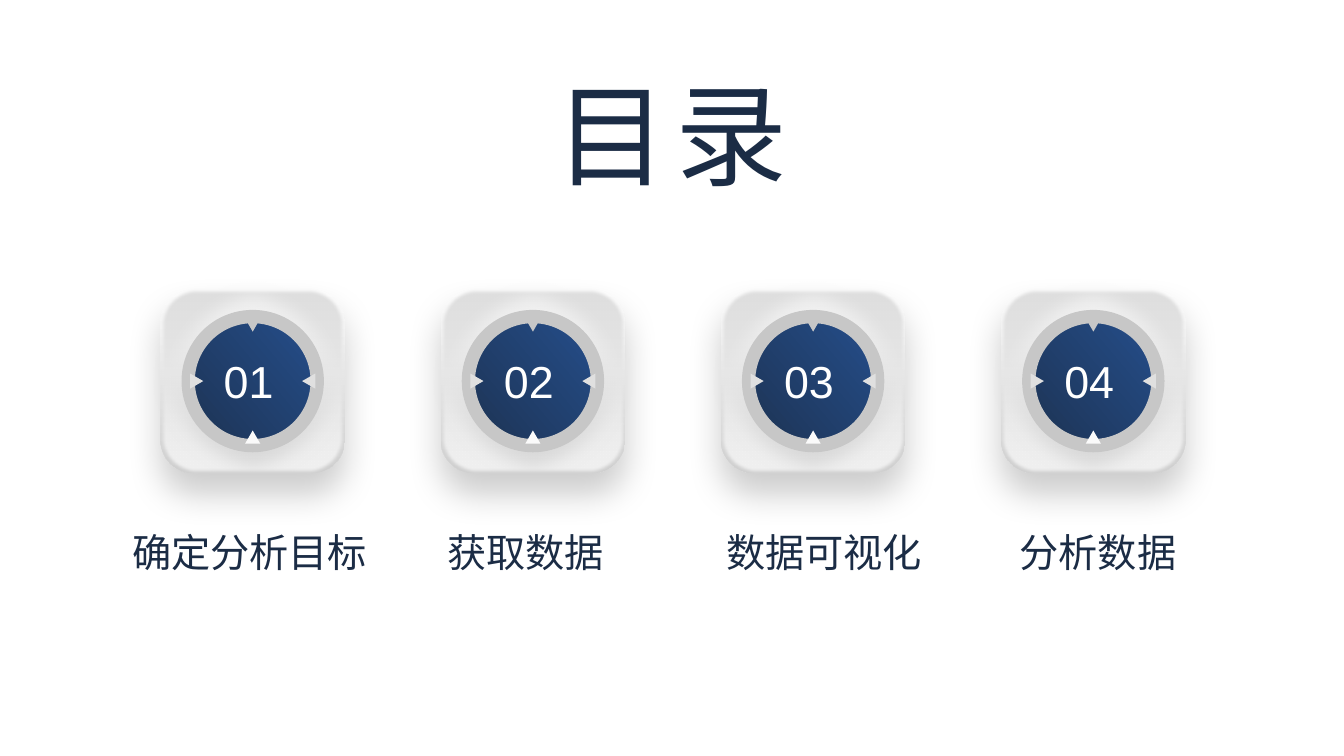
from dataclasses import dataclass

from lxml import etree
from pptx import Presentation
from pptx.dml.color import RGBColor
from pptx.enum import shapes, text
from pptx.oxml import ns
from pptx.util import Pt


@dataclass(frozen=True)
class Theme:
    font: str = "Arial"
    navy: str = "1B2C45"
    white: str = "FFFFFF"
    ring: str = "C7C7C7"
    side_pointer: str = "E0E0E0"
    top_pointer: str = "C7C7C7"
    bottom_pointer: str = "FAFAFA"
    tile_base: tuple = ("FCFCFC", "CFCFCF")
    tile_face: tuple = ("DEDEDE", "F2F2F2")
    glow: tuple = ("F7F7F7", "D4D4D4")
    dial: tuple = ("1D3353", "254E8B")
    title_size: int = 80
    number_size: int = 32
    label_size: int = 28


THEME = Theme()
SHAPE = shapes.MSO_SHAPE
DOWNWARD, UP_RIGHT = 270, 40
FIRST_CENTER, PITCH, CENTER_Y = 180.5, 200.15, 272.2
TILE, GLOW, DIAL, RING_WIDTH = 131.8, 146.2, 92.2, 9.5
POINTER_WIDTH, POINTER_HEIGHT, POINTER_OFFSET = 10.8, 9.4, 40
LABEL_TOP, LABEL_HEIGHT = 373.7, 69

CHAPTERS = [
    ("01", "确定分析目标", 87.3),
    ("02", "获取数据", 312.5),
    ("03", "数据可视化", 511.6),
    ("04", "分析数据", 721.2),
]
POINTERS = [
    (-1, 0, 90, THEME.side_pointer),
    (1, 0, 270, THEME.side_pointer),
    (0, -1, 180, THEME.top_pointer),
    (0, 1, 0, THEME.bottom_pointer),
]


def add_centered(container, kind, center_x, center_y, width, height):
    shape = container.shapes.add_shape(
        kind, Pt(center_x - width / 2), Pt(center_y - height / 2), Pt(width), Pt(height))
    shape.shadow.inherit = False
    shape.line.fill.background()
    return shape


def fill_gradient(shape, colors, angle):
    shape.fill.gradient()
    shape.fill.gradient_angle = angle
    for stop, color in zip(shape.fill.gradient_stops, colors):
        stop.color.rgb = RGBColor.from_string(color)


def add_effect(shape, tag, **attributes):
    effects = shape._element.spPr.find(ns.qn("a:effectLst"))
    return etree.SubElement(effects, ns.qn(tag), attributes)


def add_drop_shadow(shape):
    shadow = add_effect(shape, "a:outerShdw", blurRad=str(Pt(25)), dist=str(Pt(15)),
                        dir="5400000", algn="t", rotWithShape="0")
    color = etree.SubElement(shadow, ns.qn("a:srgbClr"), val="000000")
    etree.SubElement(color, ns.qn("a:alpha"), val="20000")


def add_tile(group, center_x):
    base, face = [add_centered(group, SHAPE.ROUNDED_RECTANGLE, center_x, CENTER_Y, TILE, TILE)
                  for _ in range(2)]
    for shape, colors in ((base, THEME.tile_base), (face, THEME.tile_face)):
        shape.adjustments[0] = 0.183
        fill_gradient(shape, colors, DOWNWARD)
    add_drop_shadow(base)
    add_effect(face, "a:softEdge", rad=str(Pt(2.5)))


def add_dial(group, center_x):
    glow = add_centered(group, SHAPE.OVAL, center_x, CENTER_Y, GLOW, GLOW)
    fill_gradient(glow, THEME.glow, DOWNWARD)
    add_effect(glow, "a:softEdge", rad=str(Pt(12.5)))
    dial = add_centered(group, SHAPE.OVAL, center_x, CENTER_Y, DIAL, DIAL)
    fill_gradient(dial, THEME.dial, UP_RIGHT)
    dial.line.color.rgb = RGBColor.from_string(THEME.ring)
    dial.line.width = Pt(RING_WIDTH)


def add_pointer(group, center_x, center_y, rotation, color):
    pointer = add_centered(group, SHAPE.ISOSCELES_TRIANGLE, center_x, center_y,
                           POINTER_WIDTH, POINTER_HEIGHT)
    pointer.rotation = rotation
    pointer.fill.solid()
    pointer.fill.fore_color.rgb = RGBColor.from_string(color)


def add_text(container, words, left, top, width, height, size, color, wrap=False):
    box = container.shapes.add_textbox(Pt(left), Pt(top), Pt(width), Pt(height))
    frame = box.text_frame
    frame.word_wrap = wrap
    frame.auto_size = text.MSO_AUTO_SIZE.SHAPE_TO_FIT_TEXT
    paragraph = frame.paragraphs[0]
    run = paragraph.add_run()
    run.text = words
    run.font.name = THEME.font
    run.font.size = Pt(size)
    run.font.color.rgb = RGBColor.from_string(color)
    return paragraph


def add_button(slide, number, center_x):
    group = slide.shapes.add_group_shape()
    add_tile(group, center_x)
    add_dial(group, center_x)
    for across, down, rotation, color in POINTERS:
        add_pointer(group, center_x + across * POINTER_OFFSET,
                    CENTER_Y + down * POINTER_OFFSET, rotation, color)
    add_text(group, number, center_x - 27.8, 249.1, 50.4, 46, THEME.number_size, THEME.white)


def add_title(slide, words):
    paragraph = add_text(slide, words, 373.7, 43.2, 212.4, 104.4,
                         THEME.title_size, THEME.navy, wrap=True)
    paragraph.alignment = text.PP_ALIGN.CENTER
    paragraph.runs[0].font._element.set("spc", "600")


def main():
    presentation = Presentation()
    presentation.slide_width, presentation.slide_height = Pt(960), Pt(540)
    slide = presentation.slides.add_slide(presentation.slide_layouts[6])
    for index, (number, label, label_left) in enumerate(CHAPTERS):
        add_button(slide, number, FIRST_CENTER + index * PITCH)
        label_width = len(label) * THEME.label_size + 14.4
        add_text(slide, label, label_left, LABEL_TOP, label_width, LABEL_HEIGHT,
                 THEME.label_size, THEME.navy)
    add_title(slide, "目录")
    presentation.save("out.pptx")


if __name__ == "__main__":
    main()
